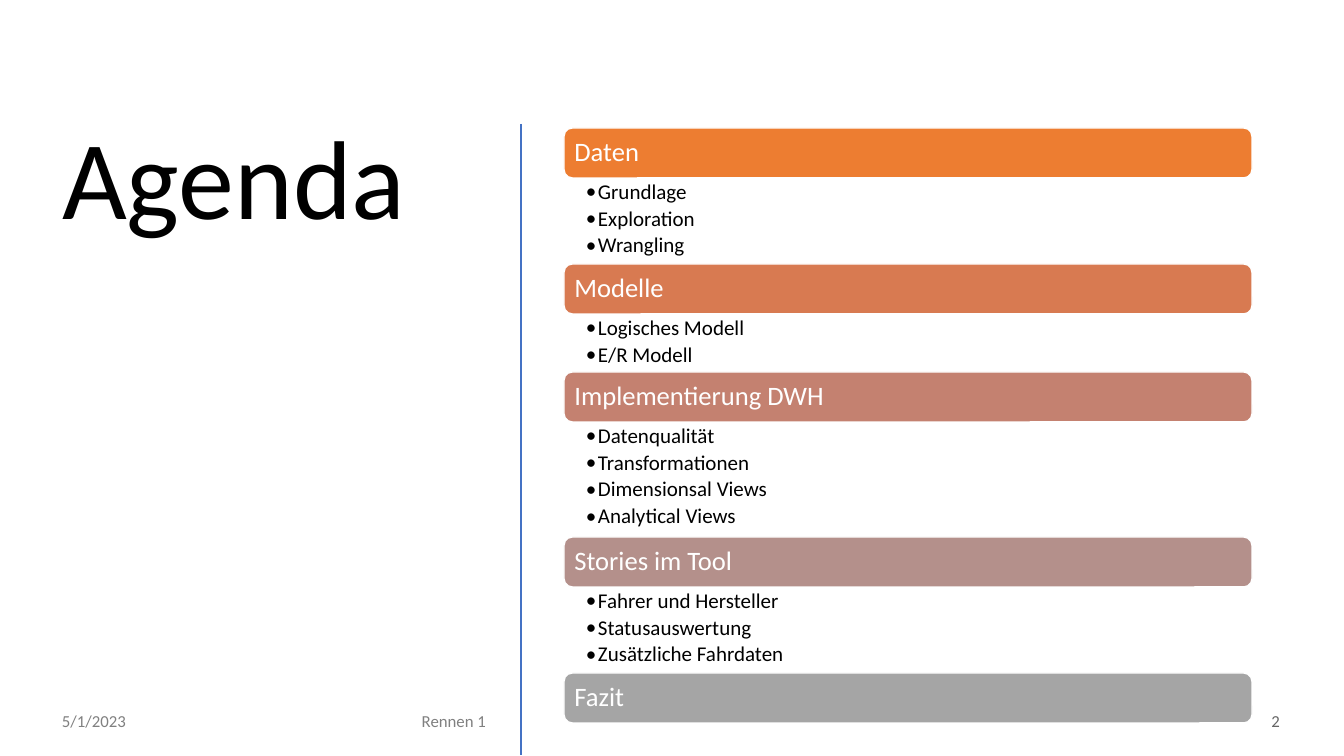
from dataclasses import dataclass

from lxml import etree
from pptx import Presentation
from pptx import util as u
from pptx.dml.color import RGBColor
from pptx.enum import shapes, text
from pptx.oxml.ns import qn

PX = 914400 / 100.8
HEAD_HEIGHT = 50
ITEM_HEIGHT = 28.8


@dataclass(frozen=True)
class Theme:
    font: str = "Calibri"
    ink: str = "000000"
    paper: str = "FFFFFF"
    rule: str = "4472C4"
    muted: str = "808080"
    number: str = "666666"
    bars: tuple = ("ED7D31", "D87A51", "C48170", "B4908B", "A5A5A5")
    title_size: int = 80
    head_size: int = 19
    item_size: int = 15
    foot_size: int = 12


THEME = Theme()

AGENDA = (
    ("Daten", ("Grundlage", "Exploration", "Wrangling")),
    ("Modelle", ("Logisches Modell", "E/R Modell")),
    ("Implementierung DWH", ("Datenqualität", "Transformationen",
                             "Dimensionsal Views", "Analytical Views")),
    ("Stories im Tool", ("Fahrer und Hersteller", "Statusauswertung",
                         "Zusätzliche Fahrdaten")),
    ("Fazit", ()),
)


def px(n):
    return u.Emu(round(n * PX))


def apply(obj, values):
    for name, value in values.items():
        setattr(obj, name, value)


def place(sp, left, top, width, height):
    apply(sp, {"left": px(left), "top": px(top),
               "width": px(width), "height": px(height)})


def write(sp, lines, size, color, frame=None, para=None):
    tf = sp.text_frame
    apply(tf, {"word_wrap": True, "auto_size": text.MSO_AUTO_SIZE.NONE,
               **(frame or {})})
    para_format = {"alignment": text.PP_ALIGN.LEFT, "space_before": u.Pt(0),
                   **(para or {})}
    for i, line in enumerate(lines):
        p = tf.add_paragraph() if i else tf.paragraphs[0]
        apply(p, para_format)
        r = p.add_run()
        r.text = line
        apply(r.font, {"name": THEME.font, "size": u.Pt(size), "bold": False})
        r.font.color.rgb = RGBColor.from_string(color)


def add_bullets(sp):
    for p in sp.text_frame.paragraphs:
        pPr = p._p.get_or_add_pPr()
        pPr.set("marL", str(px(12)))
        pPr.set("indent", str(px(-12)))
        etree.SubElement(pPr, qn("a:buFont")).set("typeface", THEME.font)
        etree.SubElement(pPr, qn("a:buChar")).set("char", "•")


def add_rule(slide, x, top, bottom):
    line = slide.shapes.add_connector(
        shapes.MSO_CONNECTOR.STRAIGHT, px(x), px(top), px(x), px(bottom))
    line.line.color.rgb = RGBColor.from_string(THEME.rule)
    line.line.width = u.Pt(2)
    etree.SubElement(line._element.spPr, qn("a:effectLst"))


def add_head(slide, label, color, left, top, width):
    sp = slide.shapes.add_shape(shapes.MSO_SHAPE.ROUNDED_RECTANGLE,
                                px(left), px(top), px(width), px(HEAD_HEIGHT))
    sp.shadow.inherit = False
    sp.fill.solid()
    sp.fill.fore_color.rgb = RGBColor.from_string(color)
    sp.line.color.rgb = RGBColor.from_string(THEME.paper)
    sp.line.width = u.Pt(1)
    write(sp, [label], THEME.head_size, THEME.paper,
          {"margin_left": px(8), "vertical_anchor": text.MSO_ANCHOR.MIDDLE},
          {"line_spacing": 0.9})


def fill_list(sp, items, left, top, width, height):
    place(sp, left, top, width, height)
    write(sp, items, THEME.item_size, THEME.ink,
          {"margin_left": px(22), "margin_right": px(15),
           "margin_top": px(3), "margin_bottom": px(3),
           "vertical_anchor": text.MSO_ANCHOR.TOP},
          {"line_spacing": 0.9, "space_after": u.Pt(3)})
    add_bullets(sp)


def add_agenda(slide, left, top, width):
    bodies = iter([sp for sp in slide.placeholders
                   if sp.placeholder_format.idx])
    for (label, items), color in zip(AGENDA, THEME.bars):
        add_head(slide, label, color, left, top, width)
        top += HEAD_HEIGHT
        if items:
            height = round(ITEM_HEIGHT * len(items))
            fill_list(next(bodies), items, left, top, width, height)
            top += height


def add_foot(slide, label, left, width, color, align):
    sp = slide.shapes.add_textbox(px(left), px(701), px(width), px(40))
    write(sp, [label], THEME.foot_size, color,
          {"vertical_anchor": text.MSO_ANCHOR.MIDDLE},
          {"alignment": align, "space_after": u.Pt(6)})


def main():
    prs = Presentation()
    apply(prs, {"slide_width": px(1344), "slide_height": px(756)})
    slide = prs.slides.add_slide(prs.slide_layouts.get_by_name("Comparison"))

    title = slide.shapes.title
    place(title, 52, 118, 434, 616)
    write(title, ["Agenda"], THEME.title_size, THEME.ink,
          {"vertical_anchor": text.MSO_ANCHOR.TOP}, {"line_spacing": 0.9})

    add_rule(slide, 521, 124, 755)
    add_agenda(slide, 564, 128, 688)

    left, right = text.PP_ALIGN.LEFT, text.PP_ALIGN.RIGHT
    add_foot(slide, "5/1/2023", 52, 134, THEME.muted, left)
    add_foot(slide, "Rennen 1", 186, 310, THEME.muted, right)
    add_foot(slide, "2", 988, 302, THEME.number, right)
    prs.save("out.pptx")


if __name__ == "__main__":
    main()
